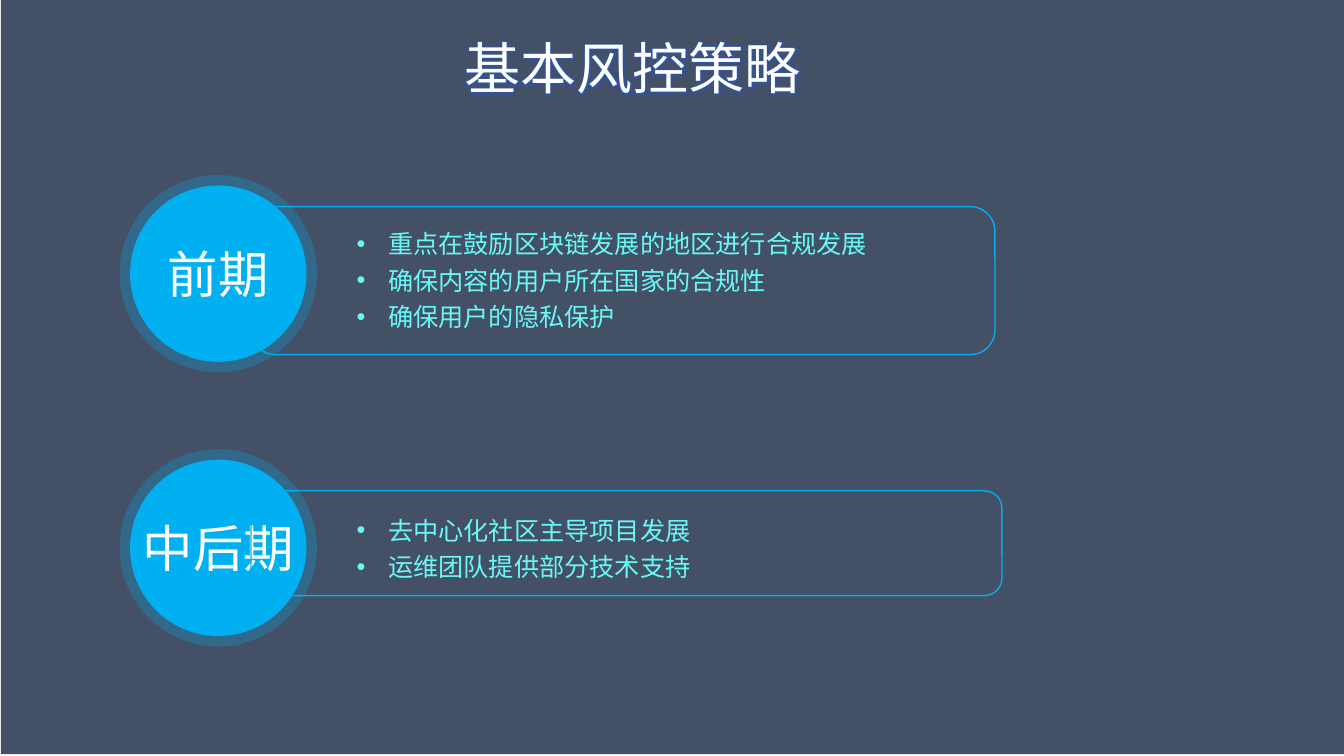
from dataclasses import dataclass

from lxml import etree
from pptx import Presentation
from pptx.dml.color import RGBColor
from pptx.enum.shapes import MSO_SHAPE
from pptx.enum.text import MSO_ANCHOR, MSO_AUTO_SIZE, PP_ALIGN
from pptx.oxml.ns import qn
from pptx.util import Pt

RECTANGLE = MSO_SHAPE.RECTANGLE
ROUNDED = MSO_SHAPE.ROUNDED_RECTANGLE
OVAL = MSO_SHAPE.OVAL
MIDDLE = MSO_ANCHOR.MIDDLE
FIT_SHAPE = MSO_AUTO_SIZE.SHAPE_TO_FIT_TEXT
CENTER = PP_ALIGN.CENTER

TITLE = "基本风控策略"
# Box positions are (left, top, width, height) in points.
STAGES = [
    {
        "name": "前期",
        "points": ["重点在鼓励区块链发展的地区进行合规发展", "确保内容的用户所在国家的合规性", "确保用户的隐私保护"],
        "circle_top": 132.5,
        "frame": (179.3, 147.6, 531.4, 105.8),
        "text": (247.7, 155.5, 382.3, 83.5),
        "frame_in_front": False,
    },
    {
        "name": "中后期",
        "points": ["去中心化社区主导项目发展", "运维团队提供部分技术支持"],
        "circle_top": 328.3,
        "frame": (179.3, 350.6, 536.4, 74.9),
        "text": (247.7, 360, 255.6, 83.5),
        "frame_in_front": True,
    },
]

SLIDE_SIZE = (960, 540)
BACKDROP_BOX = (0.7, 0, 959.3, 538.6)
TITLE_BOX = (323.3, 10.8, 257, 60.5)
CIRCLE_LEFT, CIRCLE_SIZE = 92.9, 126
RING_WIDTH = 15
BULLET_INDENT = 22.5
LINE_SPACING = 1.2
GLOW_RADIUS = 5


@dataclass(frozen=True)
class Theme:
    font: str = "Noto Sans CJK SC"
    backdrop: str = "162540"
    accent: str = "00B0F0"
    body: str = "68F9F6"
    light: str = "FFFFFF"
    glow: str = "2F55A0"
    title_size: int = 40
    stage_size: int = 36
    body_size: int = 18


THEME = Theme()


def add_alpha(fill, percent):
    color = fill._xPr.find(qn("a:solidFill"))[0]
    etree.SubElement(color, qn("a:alpha"), val=str(percent * 1000))


def add_shape(slide, kind, box, fill=None, line=None, line_width=1):
    shape = slide.shapes.add_shape(kind, *map(Pt, box))
    shape.shadow.inherit = False
    if fill:
        shape.fill.solid()
        shape.fill.fore_color.rgb = RGBColor.from_string(fill)
    else:
        shape.fill.background()
    if line:
        shape.line.color.rgb = RGBColor.from_string(line)
        shape.line.width = Pt(line_width)
    else:
        shape.line.fill.background()
    return shape


def format_text(paragraph, size, color):
    for run in paragraph.runs:
        run.font.size = Pt(size)
        run.font.color.rgb = RGBColor.from_string(color)
        run.font.name = THEME.font
        latin = run._r.rPr.find(qn("a:latin"))
        latin.addnext(latin.makeelement(qn("a:ea"), {"typeface": THEME.font}))


def add_text_box(slide, box, text):
    frame = slide.shapes.add_textbox(*map(Pt, box)).text_frame
    frame.word_wrap = False
    frame.auto_size = FIT_SHAPE
    frame.text = text
    for paragraph in frame.paragraphs:
        paragraph.line_spacing = LINE_SPACING
    return frame


def add_glow(run):
    effects = etree.Element(qn("a:effectLst"))
    glow = etree.SubElement(effects, qn("a:glow"), rad=str(Pt(GLOW_RADIUS)))
    etree.SubElement(glow, qn("a:srgbClr"), val=THEME.glow)
    run._r.rPr.find(qn("a:solidFill")).addnext(effects)


def add_title(slide):
    paragraph = add_text_box(slide, TITLE_BOX, TITLE).paragraphs[0]
    paragraph.alignment = CENTER
    format_text(paragraph, THEME.title_size, THEME.light)
    add_glow(paragraph.runs[0])


def add_circle(slide, stage):
    box = (CIRCLE_LEFT, stage["circle_top"], CIRCLE_SIZE, CIRCLE_SIZE)
    circle = add_shape(slide, OVAL, box, THEME.accent, THEME.accent, RING_WIDTH)
    add_alpha(circle.line.fill, 25)
    frame = circle.text_frame
    frame.word_wrap = False
    frame.vertical_anchor = MIDDLE
    frame.text = stage["name"]
    frame.paragraphs[0].alignment = CENTER
    format_text(frame.paragraphs[0], THEME.stage_size, THEME.light)


def add_frame(slide, stage):
    add_shape(slide, ROUNDED, stage["frame"], line=THEME.accent)


def add_points(slide, stage):
    frame = add_text_box(slide, stage["text"], "\n".join(stage["points"]))
    for paragraph in frame.paragraphs:
        properties = paragraph._p.get_or_add_pPr()
        properties.set("marL", str(Pt(BULLET_INDENT)))
        properties.set("indent", str(-Pt(BULLET_INDENT)))
        etree.SubElement(properties, qn("a:buFont"), typeface="Arial")
        etree.SubElement(properties, qn("a:buChar"), char="•")
        format_text(paragraph, THEME.body_size, THEME.body)


def main():
    presentation = Presentation()
    presentation.slide_width, presentation.slide_height = map(Pt, SLIDE_SIZE)
    slide = presentation.slides.add_slide(presentation.slide_layouts[6])
    backdrop = add_shape(slide, RECTANGLE, BACKDROP_BOX, THEME.backdrop)
    add_alpha(backdrop.fill, 80)
    for stage in STAGES:
        layers = [add_frame, add_circle]
        if stage["frame_in_front"]:
            layers.reverse()
        for add_layer in layers:
            add_layer(slide, stage)
        add_points(slide, stage)
    add_title(slide)
    presentation.save("out.pptx")


if __name__ == "__main__":
    main()
